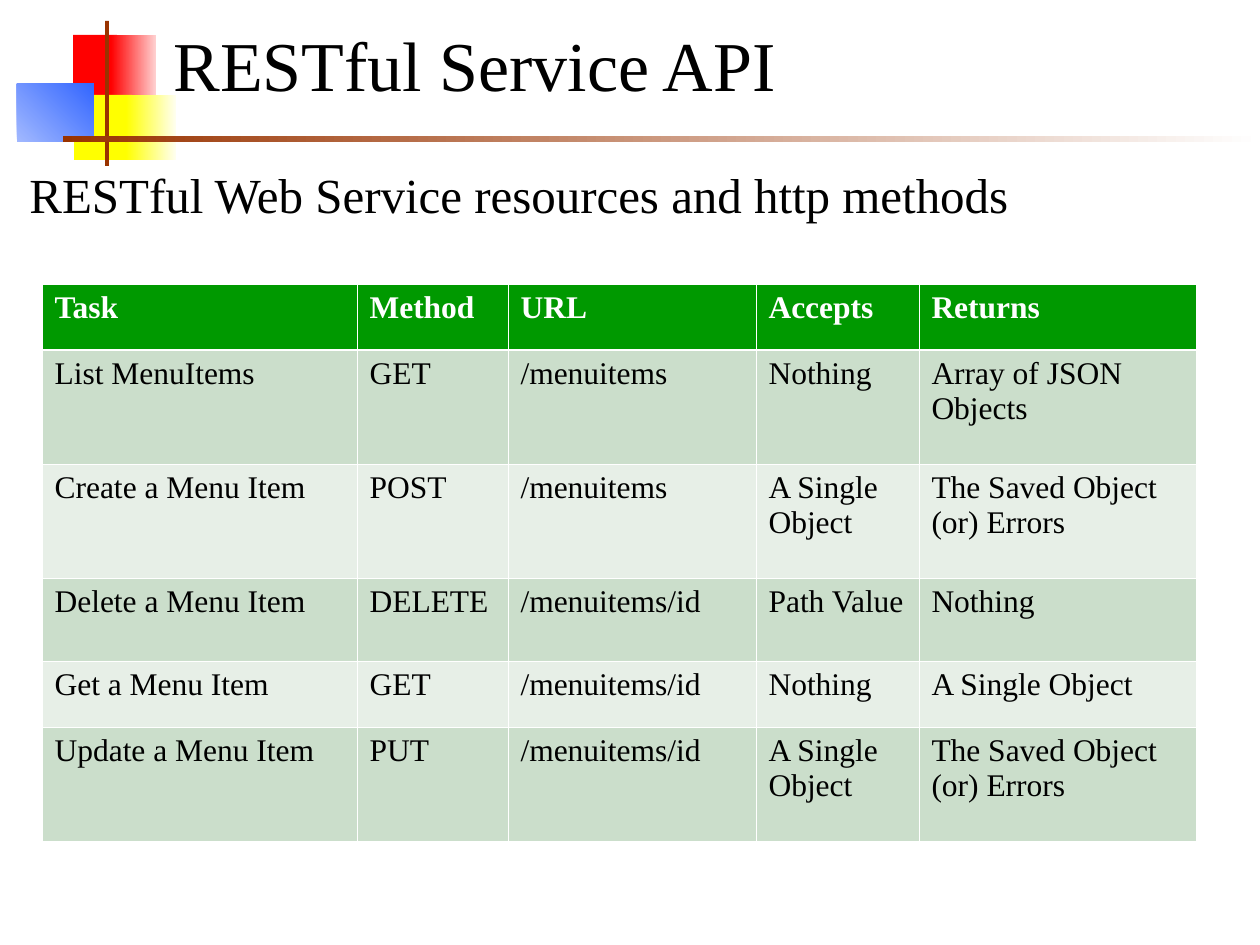
import pptx
import pptx.util
import pptx.dml.color
import pptx.enum.shapes
import pptx.enum.text
import pptx.oxml

SCALE = 914400 / 126
HUES = {
    "red": "FF0000", "pink": "FFD1D1", "yellow": "FFFF00", "cream": "FFFFF0",
    "sky": "A2B9FF", "blue": "3366FF", "brown": "993300", "white": "FFFFFF",
    "black": "000000", "head": "009900", "dark": "CBDECB", "light": "E7EFE7",
}


def px(*nums):
    return [pptx.util.Emu(round(num * SCALE)) for num in nums]


def style(para, text, size, hue, bold=False):
    para.text = text
    para.alignment = pptx.enum.text.PP_ALIGN.LEFT
    font = para.runs[0].font
    form = {"name": "Times New Roman", "size": pptx.util.Pt(size), "bold": bold}
    for key, value in form.items():
        setattr(font, key, value)
    font.color.rgb = pptx.dml.color.RGBColor.from_string(HUES[hue])


deck = pptx.Presentation()
deck.slide_width, deck.slide_height = px(1260, 945)
slide = deck.slides.add_slide(deck.slide_layouts[5])
shapes = slide.shapes

# Corner squares and rules: box, colours, gradient angle
blocks = [
    ((73, 35, 44, 66), ["red"], 0),
    ((111, 35, 45, 66), ["red", "pink"], 0),
    ((74, 95, 58, 65), ["yellow"], 0),
    ((126, 95, 50, 65), ["yellow", "cream"], 0),
    ((17, 84, 77, 58), ["sky", "blue"], 45),
    ((105, 21, 4, 145), ["brown"], 0),
    ((63, 136, 1197, 6), ["brown", "white"], 0),
]
for box, hues, angle in blocks:
    block = shapes.add_shape(pptx.enum.shapes.MSO_SHAPE.RECTANGLE, *px(*box))
    block.shadow.inherit = False
    block.line.fill.background()
    if len(hues) == 1:
        block.fill.solid()
        block.fill.fore_color.rgb = pptx.dml.color.RGBColor.from_string(HUES[hues[0]])
    else:
        block.fill.gradient()
        block.fill.gradient_angle = angle
        for stop, hue in zip(block.fill.gradient_stops, hues):
            stop.color.rgb = pptx.dml.color.RGBColor.from_string(HUES[hue])

# Title, in front of the squares
title = shapes.title
title.left, title.top, title.width, title.height = px(161, 53, 1096, 59)
frame = title.text_frame
form = {
    "auto_size": pptx.enum.text.MSO_AUTO_SIZE.NONE,
    "vertical_anchor": pptx.enum.text.MSO_ANCHOR.BOTTOM,
    "word_wrap": True,
}
for key, value in form.items():
    setattr(frame, key, value)
style(frame.paragraphs[0], "RESTful Service API", 40, "black")
shapes._spTree.append(title._element)

# Subtitle
note = shapes.add_textbox(*px(17, 158, 1243, 94)).text_frame
note.word_wrap = True
style(note.paragraphs[0], "RESTful Web Service resources and http methods", 28, "black")
note.paragraphs[0].space_before = pptx.util.Pt(7)

# Table of methods
rows = [
    ("Task", "Method", "URL", "Accepts", "Returns"),
    ("List MenuItems", "GET", "/menuitems", "Nothing", "Array of JSON Objects"),
    ("Create a Menu Item", "POST", "/menuitems", "A Single Object",
     "The Saved Object (or) Errors"),
    ("Delete a Menu Item", "DELETE", "/menuitems/id", "Path Value", "Nothing"),
    ("Get a Menu Item", "GET", "/menuitems/id", "Nothing", "A Single Object"),
    ("Update a Menu Item", "PUT", "/menuitems/id", "A Single Object",
     "The Saved Object (or) Errors"),
]
wide = [315, 151, 248, 163, 277]
tall = [66, 114, 114, 83, 66, 114]
grid = shapes.add_table(len(rows), len(wide), *px(42, 284, sum(wide), sum(tall))).table
for col, width in zip(grid.columns, px(*wide)):
    col.width = width
for row, height in zip(grid.rows, px(*tall)):
    row.height = height

for r, row in enumerate(rows):
    for c, text in enumerate(row):
        cell = grid.cell(r, c)
        style(cell.text_frame.paragraphs[0], text, 18, "black" if r else "white", r == 0)
        # White borders, thicker under the header
        props = cell._tc.get_or_add_tcPr()
        for side in "LRTB":
            thick = (r, side) in [(0, "B"), (1, "T")]
            width = pptx.util.Pt(1.47 if thick else 0.45)
            props.append(pptx.oxml.parse_xml(
                f'<a:ln{side} xmlns:a="http://schemas.openxmlformats.org/drawingml/2006/main" '
                f'w="{width}"><a:solidFill><a:srgbClr val="{HUES["white"]}"/>'
                f'</a:solidFill></a:ln{side}>'))
        cell.fill.solid()
        band = "head" if r == 0 else "dark" if r % 2 else "light"
        cell.fill.fore_color.rgb = pptx.dml.color.RGBColor.from_string(HUES[band])

deck.save("out.pptx")
